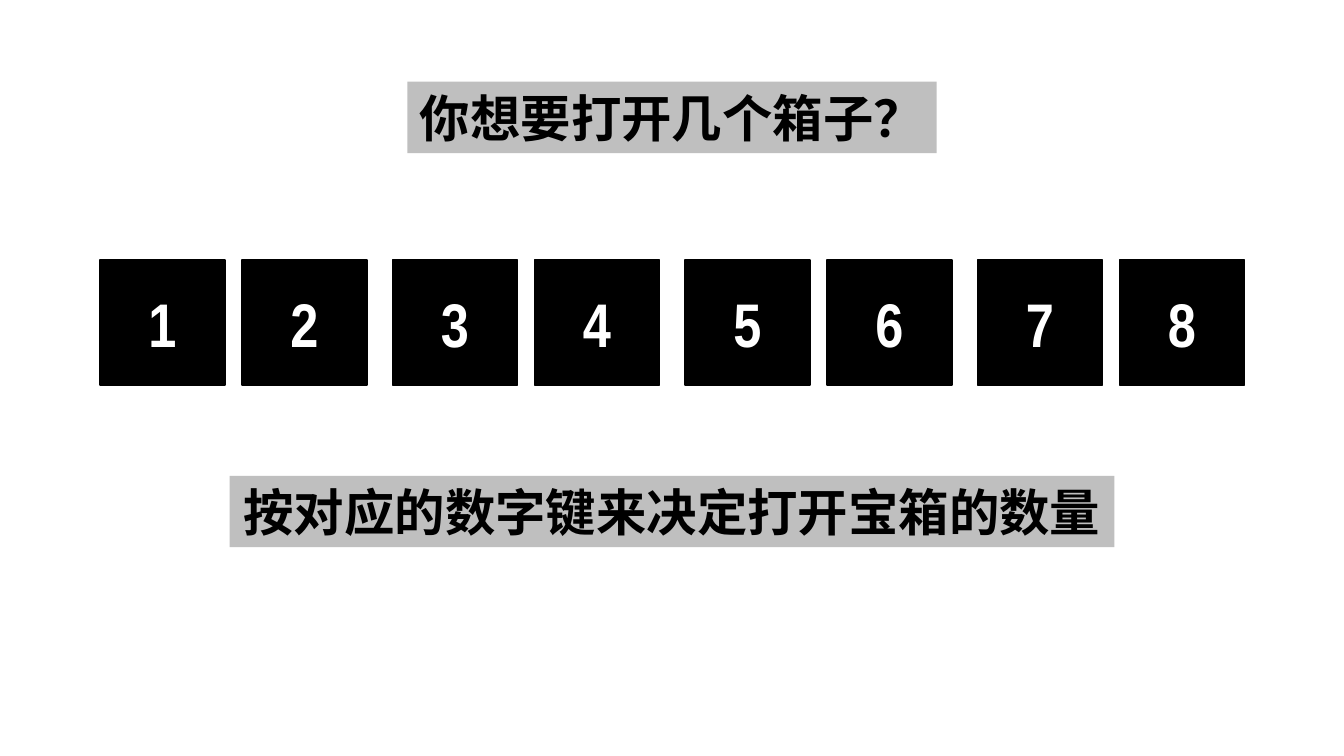
"""Build the slide that asks how many treasure boxes to open."""
from dataclasses import dataclass

from pptx import Presentation
from pptx import slide as sl
from pptx import util as u
from pptx.dml.color import RGBColor
from pptx.enum import shapes, text
from pptx.oxml import ns
from pptx.shapes import autoshape, shapetree
from pptx.text import text as tx

BLACK = RGBColor(0x00, 0x00, 0x00)
WHITE = RGBColor(0xFF, 0xFF, 0xFF)
GREY = RGBColor(0xBF, 0xBF, 0xBF)

NUMBER_FONT = "Arial Narrow"
CHINESE_FONT = "Noto Sans CJK SC"

BOX_SIZE = u.Cm(3.15)
BOX_TOP = u.Cm(6.55)
FIRST_LEFT = u.Cm(2.52)
PAIR_COUNT = 4
PAIR_PITCH = u.Cm(7.37)
BOX_PITCH = u.Cm(3.58)
BANNER_HEIGHT = u.Cm(1.8)


@dataclass(frozen=True)
class Banner:
    wording: str
    top: u.Length
    width: u.Length


BANNERS = (
    Banner("按对应的数字键来决定打开宝箱的数量", u.Cm(11.99), u.Cm(22.3)),
    Banner("你想要打开几个箱子？", u.Cm(2.06), u.Cm(13.34)),
)


def write_bold(shape: autoshape.Shape, wording: str, size: int,
               font_name: str, color: RGBColor) -> tx._Run:
    paragraph = shape.text_frame.paragraphs[0]
    paragraph.alignment = text.PP_ALIGN.CENTER
    run = paragraph.add_run()
    run.text = wording
    run.font.size = u.Pt(size)
    run.font.name = font_name
    run.font.bold = True
    run.font.color.rgb = color
    return run


def add_number_box(pair: shapetree.GroupShapes, number: int, left: int) -> None:
    box = pair.add_shape(shapes.MSO_SHAPE.RECTANGLE, left, BOX_TOP, BOX_SIZE, BOX_SIZE)
    box.shadow.inherit = False
    box.fill.solid()
    box.fill.fore_color.rgb = BLACK
    box.line.color.rgb = BLACK
    box.line.width = u.Pt(1)
    box.text_frame.vertical_anchor = text.MSO_ANCHOR.MIDDLE
    write_bold(box, str(number), 44, NUMBER_FONT, WHITE)


def add_banner(slide: sl.Slide, banner: Banner, slide_width: int) -> None:
    left = (slide_width - banner.width) // 2
    shape = slide.shapes.add_textbox(left, banner.top, banner.width, BANNER_HEIGHT)
    shape.fill.solid()
    shape.fill.fore_color.rgb = GREY
    shape.text_frame.word_wrap = False
    shape.text_frame.auto_size = text.MSO_AUTO_SIZE.SHAPE_TO_FIT_TEXT
    run = write_bold(shape, banner.wording, 36, CHINESE_FONT, BLACK)
    properties = run._r.get_or_add_rPr()
    east_asian = properties.makeelement(ns.qn("a:ea"), {"typeface": CHINESE_FONT})
    properties.find(ns.qn("a:latin")).addnext(east_asian)


def main() -> None:
    presentation = Presentation()
    presentation.slide_width = u.Cm(33.87)
    presentation.slide_height = u.Cm(19.05)
    slide = presentation.slides.add_slide(presentation.slide_layouts[6])
    for pair_index in range(PAIR_COUNT):
        pair = slide.shapes.add_group_shape().shapes
        pair_left = FIRST_LEFT + pair_index * PAIR_PITCH
        for offset in range(2):
            number = 2 * pair_index + offset + 1
            add_number_box(pair, number, pair_left + offset * BOX_PITCH)
    for banner in BANNERS:
        add_banner(slide, banner, presentation.slide_width)
    presentation.save("out.pptx")


main()
